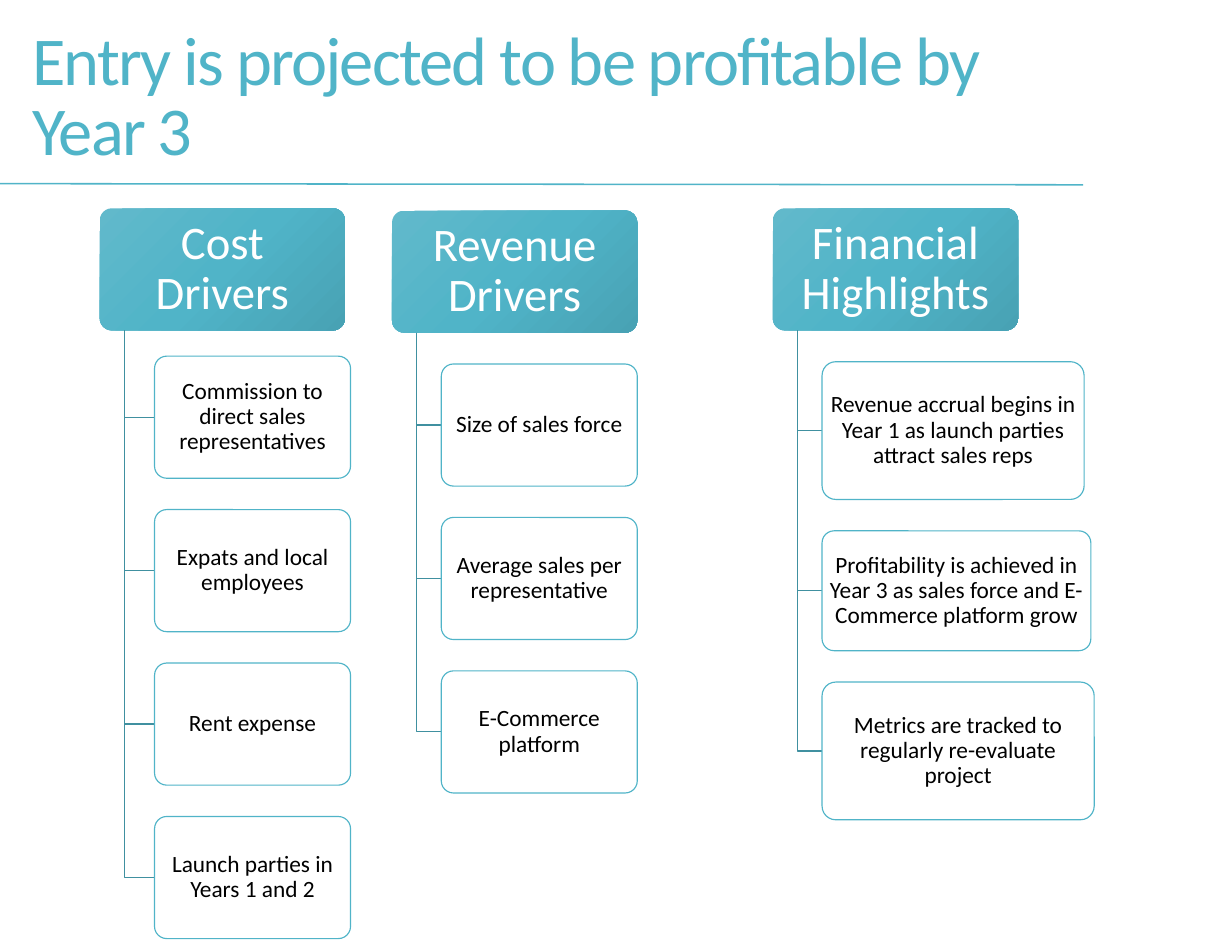
from copy import deepcopy
from dataclasses import dataclass

from pptx import Presentation
from pptx.dml.color import RGBColor
from pptx.enum.shapes import MSO_CONNECTOR, MSO_SHAPE
from pptx.enum.text import MSO_ANCHOR as ANCHOR, PP_ALIGN as ALIGN
from pptx.oxml.ns import qn
from pptx.oxml.xmlchemy import OxmlElement
from pptx.util import Inches, Pt


@dataclass(frozen=True)
class Theme:
    font: str = "Calibri"
    accent: str = "50B4C8"
    branch: str = "4090A0"
    white: str = "FFFFFF"
    black: str = "000000"
    gradient: tuple = ((0, "61B9CB"), (50, "50B4C8"), (100, "48A2B4"))
    title_pt: int = 44
    head_pt: int = 30
    card_pt: int = 15
    rule_pt: float = 1
    line_pt: float = 0.75


THEME = Theme()
HEAD_W, BOX_H, GAP = 2.19, 1.09, 0.28
TRUNK_INSET = 0.22
CARD_W = 1.75

# Each column: heading, left, top, card left, first card top, cards (text, width, height)
COLUMNS = [
    ("Cost Drivers", 0.89, 1.86, 1.38, 3.18, [
        ("Commission to direct sales representatives", CARD_W, BOX_H),
        ("Expats and local employees", CARD_W, BOX_H),
        ("Rent expense", CARD_W, BOX_H),
        ("Launch parties in Years 1 and 2", CARD_W, BOX_H),
    ]),
    ("Revenue Drivers", 3.5, 1.88, 3.94, 3.25, [
        ("Size of sales force", CARD_W, BOX_H),
        ("Average sales per representative", CARD_W, BOX_H),
        ("E-Commerce platform", CARD_W, BOX_H),
    ]),
    ("Financial Highlights", 6.9, 1.86, 7.34, 3.23, [
        ("Revenue accrual begins in Year 1 as launch parties attract sales reps", 2.34, 1.23),
        ("Profitability is achieved in Year 3 as sales force and E-Commerce platform grow",
         2.4, 1.07),
        ("Metrics are tracked to regularly re-evaluate project", 2.43, 1.23),
    ]),
]


def rgb(value):
    return RGBColor.from_string(value)


def set_line(sp, color, width):
    sp.line.color.rgb = rgb(color)
    sp.line.width = Pt(width)


def write(sp, text, size, color, align, spacing, inset):
    tf = sp.text_frame
    x, y = (Inches(v) for v in inset)
    frame = {"word_wrap": True, "vertical_anchor": ANCHOR.MIDDLE,
             "margin_left": x, "margin_right": x, "margin_top": y, "margin_bottom": y}
    p = tf.paragraphs[0]
    r = p.add_run()
    r.text = text
    r.font.color.rgb = rgb(color)
    formats = [(tf, frame),
               (p, {"alignment": align, "line_spacing": spacing}),
               (r.font, {"name": THEME.font, "size": Pt(size)})]
    for target, values in formats:
        for name, value in values.items():
            setattr(target, name, value)
    return r


def add_title(slide, text):
    sp = slide.shapes.add_textbox(Inches(0.19), Inches(-0.14), Inches(9.31), Inches(2.06))
    r = write(sp, text, THEME.title_pt, THEME.accent, ALIGN.LEFT, 0.85, (0.1, 0.05))
    r.font._element.set("spc", "-120")


def add_rule(slide):
    sp = slide.shapes.add_connector(
        MSO_CONNECTOR.STRAIGHT, Inches(0), Inches(1.64), Inches(9.67), Inches(1.65))
    set_line(sp, THEME.accent, THEME.rule_pt)
    sp._element.spPr.append(OxmlElement("a:effectLst"))


def add_box(slide, left, top, width, height):
    sp = slide.shapes.add_shape(
        MSO_SHAPE.ROUNDED_RECTANGLE, Inches(left), Inches(top), Inches(width), Inches(height))
    sp.adjustments[0] = 0.1
    sp.shadow.inherit = False
    return sp


def fill_gradient(sp):
    sp.fill.gradient()
    sp.fill.gradient_angle = 315
    # The default gradient has two stops; add a third
    stops = sp._element.spPr.find(qn("a:gradFill")).find(qn("a:gsLst"))
    stops.append(deepcopy(stops[0]))
    for stop, (position, color) in zip(sp.fill.gradient_stops, THEME.gradient):
        stop.position = position / 100
        stop.color.rgb = rgb(color)


def add_heading(slide, text, left, top):
    sp = add_box(slide, left, top, HEAD_W, BOX_H)
    fill_gradient(sp)
    sp.line.fill.background()
    write(sp, text, THEME.head_pt, THEME.white, ALIGN.CENTER, 0.9, (0.06, 0.04))


def add_card(slide, text, left, top, width, height):
    sp = add_box(slide, left, top, width, height)
    sp.fill.solid()
    sp.fill.fore_color.rgb = rgb(THEME.white)
    alpha = OxmlElement("a:alpha")
    alpha.set("val", "90000")
    sp._element.spPr.find(qn("a:solidFill"))[0].append(alpha)
    set_line(sp, THEME.accent, THEME.line_pt)
    write(sp, text, THEME.card_pt, THEME.black, ALIGN.CENTER, 0.9, (0.03, 0.02))


def add_branch(slide, x, top, card_left, card_middle):
    builder = slide.shapes.build_freeform(Inches(x), Inches(top))
    corners = [(x, card_middle), (card_left, card_middle)]
    builder.add_line_segments([(Inches(a), Inches(b)) for a, b in corners], close=False)
    sp = builder.convert_to_shape()
    sp.fill.background()
    sp.shadow.inherit = False
    set_line(sp, THEME.branch, THEME.line_pt)


def add_column(slide, heading, left, top, card_left, card_top, cards):
    add_heading(slide, heading, left, top)
    for text, width, height in cards:
        add_branch(slide, left + TRUNK_INSET, top + BOX_H, card_left, card_top + height / 2)
        add_card(slide, text, card_left, card_top, width, height)
        card_top += height + GAP


def main():
    prs = Presentation()
    prs.slide_width, prs.slide_height = Inches(11), Inches(8.5)
    slide = prs.slides.add_slide(prs.slide_layouts[6])

    # Title and rule
    add_title(slide, "Entry is projected to be profitable by Year 3")
    add_rule(slide)

    # Hierarchy columns
    for column in COLUMNS:
        add_column(slide, *column)

    prs.save("out.pptx")


if __name__ == "__main__":
    main()
